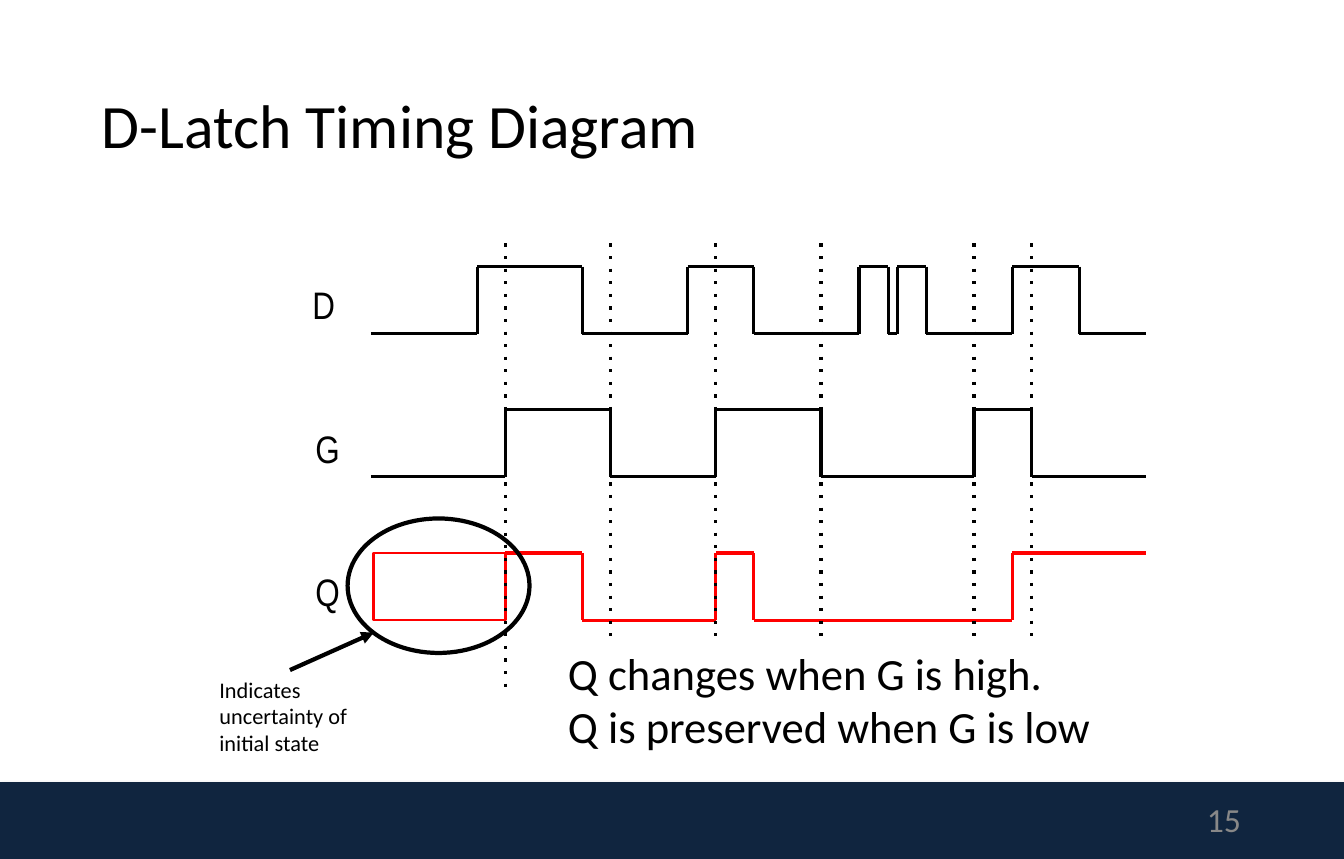
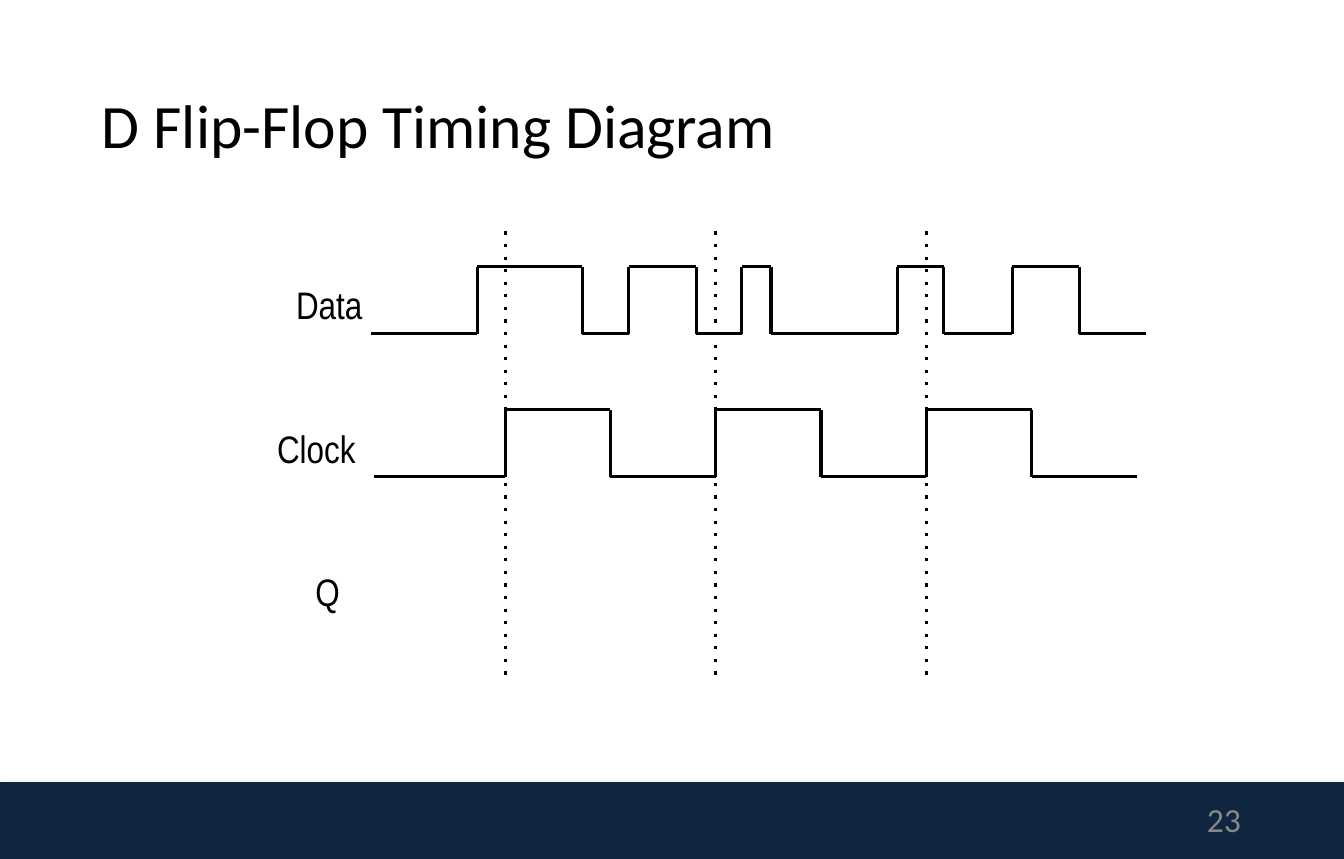
from itertools import pairwise
from lxml.etree import SubElement
from pptx import Presentation
from pptx.dml.color import RGBColor
from pptx.enum.shapes import MSO_CONNECTOR, MSO_SHAPE
from pptx.enum.text import MSO_ANCHOR, PP_ALIGN
from pptx.oxml.ns import qn
from pptx.util import Pt

BLACK = RGBColor(0, 0, 0)
WHITE = RGBColor(255, 255, 255)
RED = RGBColor(255, 0, 0)
NAVY = RGBColor(0x10, 0x25, 0x3F)
GRAY = RGBColor(0x88, 0x88, 0x88)

WIDTH, HEIGHT, BAND_TOP = 957.6, 612, 557.3
ROW_TOP, ROW_STEP, SWING = 190, 102, 47.8
LABEL_TOP, GUIDE_HEIGHT = 196.6, 319.7

TITLE = {"size": Pt(43.9), "name": "Calibri"}
NUMBER = {"size": Pt(24), "name": "Calibri"}
LABEL = {"size": Pt(27.3), "name": "Arial Narrow"}
NOTE = {"size": Pt(15.9), "name": "Calibri"}
SUMMARY = {"size": Pt(31.8), "name": "Calibri"}

LATCH = {
    "title": "D-Latch Timing Diagram", "number": "15",
    "labels": [("D", 214.6, 32.4), ("G", 216.7, 33.8), ("Q", 216.7, 33.8)],
    "waves": [
        (0, 0, BLACK, [264.2, 340, 415, 490, 537, 612, 633, 639.4, 660, 721.4, 769, 816.5]),
        (1, 0, BLACK, [264.2, 360, 435, 510, 585, 694, 735, 816.5]),
        (2, 1, RED, [360, 415, 510, 537, 721.4, 816.5])],
    "guide_top": 173.5, "guides": [360, 435, 510, 585, 694, 735],
}
FLIP_FLOP = {
    "title": "D Flip-Flop Timing Diagram", "number": "23",
    "labels": [("Data", 203, 64), ("Clock", 189.4, 72.7), ("Q", 216.7, 33.8)],
    "waves": [
        (0, 0, BLACK, [264.2, 340, 415, 448, 496, 528.5, 549.4, 639.4, 672.5, 721.4, 769, 816.5]),
        (1, 0, BLACK, [266.4, 360, 435, 510, 585, 660, 735, 810])],
    "guide_top": 164.9, "guides": [360, 510, 660],
}
UNCERTAIN = "Indicates uncertainty of initial state"
RULES = ["Q changes when G is high.", "Q is preserved when G is low"]


def add_text(s, lines, box, font, color=BLACK, inset=(8, 4), wrap=True,
             anchor=MSO_ANCHOR.TOP, fill=None, **para):
    tb = s.shapes.add_textbox(*map(Pt, box))
    if fill is not None:
        tb.fill.solid()
        tb.fill.fore_color.rgb = fill
    tf = tb.text_frame
    x, y = map(Pt, inset)
    frame = {"word_wrap": wrap, "vertical_anchor": anchor, "margin_left": x,
             "margin_right": x, "margin_top": y, "margin_bottom": y}
    for key, value in frame.items():
        setattr(tf, key, value)
    for i, line in enumerate(lines):
        p = tf.paragraphs[0] if i == 0 else tf.add_paragraph()
        for key, value in para.items():
            setattr(p, key, value)
        r = p.add_run()
        r.text = line
        for key, value in font.items():
            setattr(r.font, key, value)
        r.font.color.rgb = color


def add_outline(s, kind, box, fill=None, line=None, width=0):
    sp = s.shapes.add_shape(kind, *map(Pt, box))
    sp.shadow.inherit = False
    if fill is None:
        sp.fill.background()
    else:
        sp.fill.solid()
        sp.fill.fore_color.rgb = fill
    if line is None:
        sp.line.fill.background()
    else:
        sp.line.color.rgb = line
        sp.line.width = Pt(width)
    return sp


def add_line(s, start, end, color=BLACK, width=2.25, dotted=False, arrow=False):
    c = s.shapes.add_connector(MSO_CONNECTOR.STRAIGHT, *map(Pt, (*start, *end)))
    c.line.color.rgb = color
    c.line.width = Pt(width)
    ln = c.line._get_or_add_ln()
    if dotted:
        SubElement(ln, qn("a:prstDash"), val="dot")
    if arrow:
        SubElement(ln, qn("a:tailEnd"), type="triangle")
    SubElement(c._element.spPr, qn("a:effectLst"))


def add_wave(s, row, level, color, times):
    low = ROW_TOP + row * ROW_STEP + SWING
    for i, (x1, x2) in enumerate(pairwise(times)):
        y = low - SWING * ((level + i) % 2)
        add_line(s, (x1, y), (x2, y), color)
        if i:
            add_line(s, (x1, low - SWING), (x1, low), color)


def add_frame(s, title, number):
    band = add_outline(s, MSO_SHAPE.RECTANGLE, (0, BAND_TOP, WIDTH, HEIGHT - BAND_TOP), NAVY)
    effects = band._element.spPr.find(qn("a:effectLst"))
    shadow = SubElement(effects, qn("a:outerShdw"), blurRad=str(Pt(3.1)),
                        dist=str(Pt(1.8)), dir="5400000")
    tint = SubElement(shadow, qn("a:srgbClr"), val="808080")
    SubElement(tint, qn("a:alpha"), val="35000")
    shared = {"inset": (7.2, 3.6), "anchor": MSO_ANCHOR.MIDDLE}
    add_text(s, [title], (65.5, 32.4, 825.8, 118), TITLE, line_spacing=0.9, **shared)
    add_text(s, [number], (676, 567.4, 215.3, 32.4), NUMBER, GRAY,
             alignment=PP_ALIGN.RIGHT, **shared)


def add_uncertainty(s):
    add_outline(s, MSO_SHAPE.OVAL, (247.7, 369.4, 129.6, 95.8), line=BLACK, width=3)
    add_text(s, [UNCERTAIN], (148.3, 477.4, 116, 66.2), NOTE)
    add_line(s, (206.6, 477.4), (266.4, 450.7), width=3, arrow=True)
    add_outline(s, MSO_SHAPE.RECTANGLE, (266.4, ROW_TOP + 2 * ROW_STEP, 93.6, SWING),
                WHITE, RED, 2)


def build(prs, diagram, uncertain=False):
    s = prs.slides.add_slide(prs.slide_layouts[6])
    add_frame(s, diagram["title"], diagram["number"])
    for wave in diagram["waves"]:
        add_wave(s, *wave)
    for row, (name, left, width) in enumerate(diagram["labels"]):
        add_text(s, [name], (left, LABEL_TOP + row * ROW_STEP, width, 41), LABEL, wrap=False)
    if uncertain:
        add_uncertainty(s)
    top = diagram["guide_top"]
    for x in diagram["guides"]:
        add_line(s, (x, top), (x, top + GUIDE_HEIGHT), dotted=True)
    return s


def main():
    prs = Presentation()
    prs.slide_width, prs.slide_height = Pt(WIDTH), Pt(HEIGHT)
    latch = build(prs, LATCH, uncertain=True)
    add_text(latch, RULES, (396.7, 455.8, 496.8, 85.7), SUMMARY, fill=WHITE)
    build(prs, FLIP_FLOP)
    prs.save("out.pptx")


if __name__ == "__main__":
    main()
